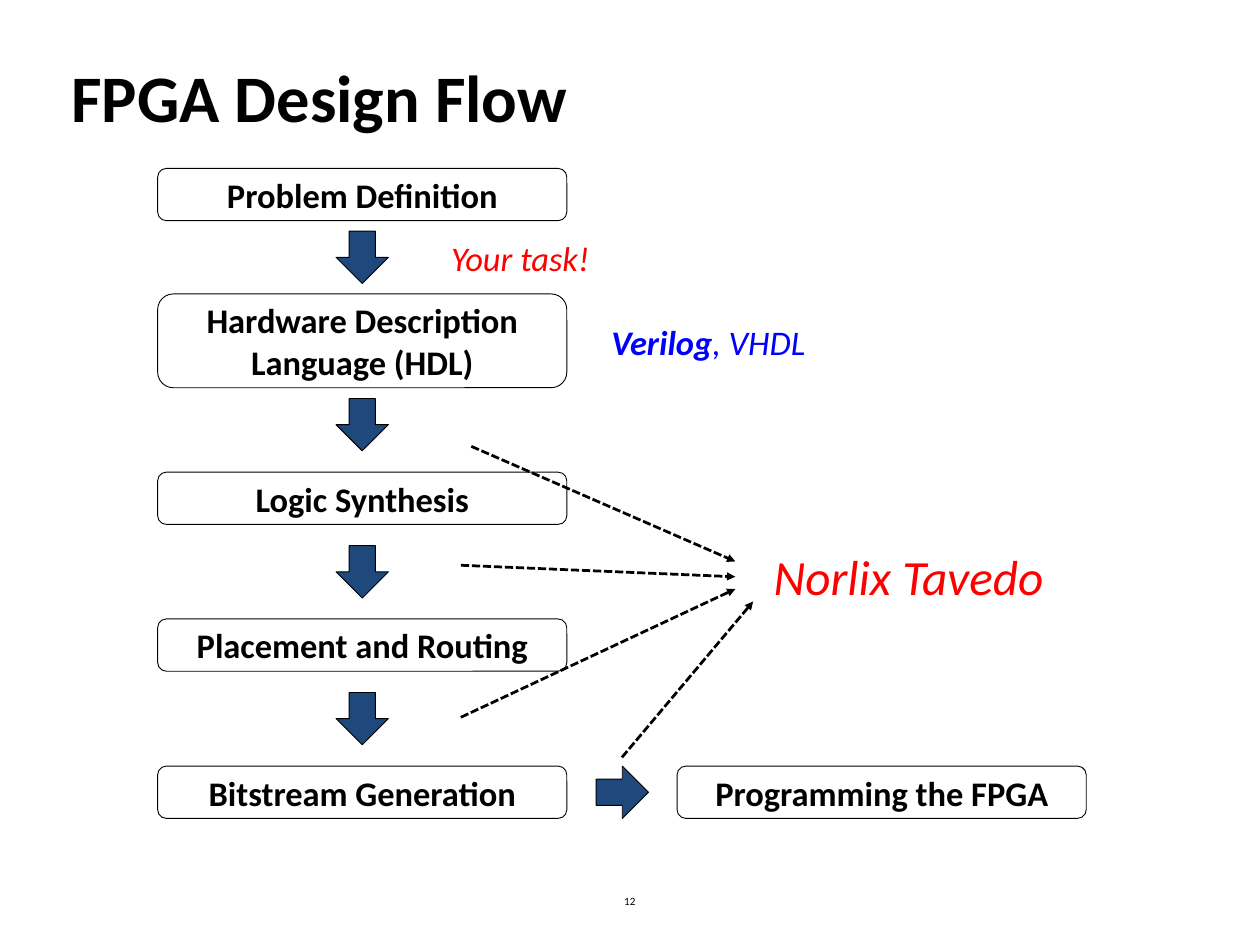
from lxml import etree
from pptx import Presentation
from pptx.dml.color import RGBColor
from pptx.enum import dml, shapes, text
from pptx.oxml import ns
from pptx.util import Cm, Pt


def ink(code):
    return RGBColor.from_string(code)


def write(shape, *runs, size=28, color="000000", bold=False, italic=False,
          align=text.PP_ALIGN.LEFT, anchor=text.MSO_ANCHOR.TOP, inset=(0.36, 0.18)):
    """Put runs in one paragraph; bold applies to the first run only."""
    frame = shape.text_frame
    frame.word_wrap = True
    frame.auto_size = text.MSO_AUTO_SIZE.NONE
    frame.vertical_anchor = anchor
    frame.margin_left = frame.margin_right = Cm(inset[0])
    frame.margin_top = frame.margin_bottom = Cm(inset[1])
    para = frame.paragraphs[0]
    para.alignment = align
    for i, words in enumerate(runs):
        run = para.add_run()
        run.text = words
        font = run.font
        font.name, font.size = "Calibri", Pt(size)
        font.bold, font.italic = bold and i == 0, italic
        font.color.rgb = ink(color)


deck = Presentation()
deck.slide_width, deck.slide_height = Cm(36.12), Cm(27.1)
slide = deck.slides.add_slide(deck.slide_layouts[5])
parts = slide.shapes
center, middle = text.PP_ALIGN.CENTER, text.MSO_ANCHOR.MIDDLE

title = parts.title
title.left, title.top, title.width, title.height = Cm(1.8), Cm(0.48), Cm(32.51), Cm(4.52)
write(title, "FPGA Design Flow", size=54, bold=True, anchor=middle, inset=(0.25, 0.13))

# Flow steps and the block arrows between them
left, wide, unit = 4.52, 11.73, 1.5
mid = left + (wide - unit) / 2
steps = [
    (left, 4.83, unit, "Problem Definition"),
    (left, 8.43, 2.69, "Hardware Description Language (HDL)"),
    (left, 13.54, unit, "Logic Synthesis"),
    (left, 17.75, unit, "Placement and Routing"),
    (left, 21.97, unit, "Bitstream Generation"),
    (19.41, 21.97, unit, "Programming the FPGA"),
]
arrows = [(mid, 6.63, 0), (mid, 11.43, 0), (mid, 15.65, 0), (mid, 19.86, 0),
          (17.09, 21.97, 270)]

kind = shapes.MSO_SHAPE
blocks = []
for x, y, high, words in steps:
    box = parts.add_shape(kind.ROUNDED_RECTANGLE, Cm(x), Cm(y), Cm(wide), Cm(high))
    write(box, words, bold=True, align=center, anchor=middle)
    blocks.append((box, "FFFFFF"))
for x, y, turn in arrows:
    arrow = parts.add_shape(kind.DOWN_ARROW, Cm(x), Cm(y), Cm(unit), Cm(unit))
    arrow.rotation = turn
    blocks.append((arrow, "1F497D"))
for block, fill in blocks:
    block.shadow.inherit = False
    block.fill.solid()
    block.fill.fore_color.rgb = ink(fill)
    block.line.color.rgb = ink("000000")
    block.line.width = Pt(0.75)

# Side notes and page number
notes = [
    (17.17, 9.04, 9.04, 1.55, ["Verilog", ", VHDL"],
     dict(color="0000FF", bold=True, italic=True)),
    (12.57, 6.63, 9.04, 1.55, ["Your task!"], dict(color="FF0000", italic=True)),
    (21.82, 15.49, 9.04, 2.08, ["Norlix Tavedo"],
     dict(size=40, color="FF0000", italic=True)),
    (12.34, 25.12, 11.43, 1.45, ["12"], dict(size=9, align=center, anchor=middle)),
]
for x, y, w, h, runs, style in notes:
    write(parts.add_textbox(Cm(x), Cm(y), Cm(w), Cm(h)), *runs, **style)

# Dashed arrows from the automated stages to the tool name
links = [
    (13.51, 12.8, 21.08, 16.1),
    (13.21, 16.21, 21.08, 16.54),
    (13.21, 20.57, 21.08, 16.89),
    (17.83, 21.72, 21.59, 17.25),
]
for ends in links:
    link = parts.add_connector(shapes.MSO_CONNECTOR.STRAIGHT, *map(Cm, ends))
    link.line.color.rgb = ink("000000")
    link.line.width = Pt(2.25)
    link.line.dash_style = dml.MSO_LINE.SQUARE_DOT
    etree.SubElement(link.line._get_or_add_ln(), ns.qn("a:tailEnd"), type="triangle")
    etree.SubElement(link._element.spPr, ns.qn("a:effectLst"))

deck.save("out.pptx")
